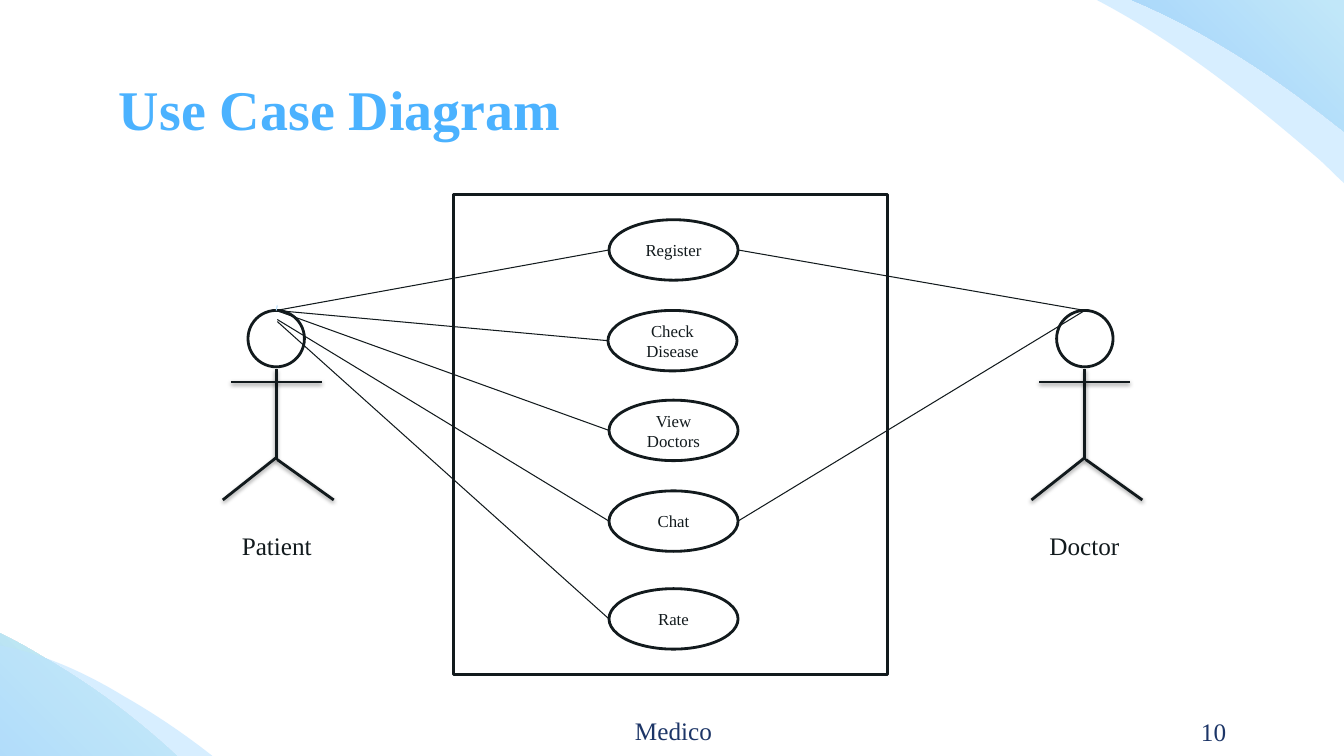
from dataclasses import dataclass

from lxml import etree
from pptx import Presentation
from pptx.dml.color import RGBColor
from pptx.enum.shapes import MSO_CONNECTOR, MSO_SHAPE
from pptx.enum.text import MSO_ANCHOR, MSO_AUTO_SIZE, PP_ALIGN
from pptx.oxml.ns import qn
from pptx.util import Inches, Pt

STRAIGHT = MSO_CONNECTOR.STRAIGHT
OVAL, RECTANGLE = MSO_SHAPE.OVAL, MSO_SHAPE.RECTANGLE
MIDDLE, TOP = MSO_ANCHOR.MIDDLE, MSO_ANCHOR.TOP
LEFT, CENTER, RIGHT = PP_ALIGN.LEFT, PP_ALIGN.CENTER, PP_ALIGN.RIGHT
NO_AUTOFIT, GROW = MSO_AUTO_SIZE.NONE, MSO_AUTO_SIZE.SHAPE_TO_FIT_TEXT

SLIDE_WIDTH, SLIDE_HEIGHT = 13.33, 7.5
TITLE_ONLY_LAYOUT = 5

Point = tuple[float, float]


@dataclass(frozen=True)
class Theme:
    font: str = "Times New Roman"
    ink: str = "121A1D"
    paper: str = "FFFFFF"
    title: str = "4BB2FF"
    footer: str = "1C3567"
    accent: str = "B5DDFB"
    wave_stops: tuple[tuple[int, str], ...] = (
        (0, "E5ECEF"), (28, "CBEFF2"), (66, "77B8F7"), (100, "0885FF"))
    wave_angle: int = 135
    veil: str = "BBE2FF"
    veil_alpha: int = 58
    title_size: int = 40
    label_size: int = 18
    case_size: int = 12
    thick: float = 2
    thin: float = 0.75


THEME = Theme()


@dataclass(frozen=True)
class Wave:
    left: float
    top: float
    rotation: float
    mirrored: bool
    veil: bool


@dataclass(frozen=True)
class UseCase:
    name: str
    top: float
    left: float = 6.04


@dataclass(frozen=True)
class Actor:
    name: str
    axis: float
    label_left: float


@dataclass(frozen=True)
class Association:
    start: Point
    end: Point
    color: str = THEME.ink


# Start point, then three points for each cubic curve
WAVE_WIDTH = 3.13
WAVE_OUTLINE: tuple[Point, ...] = (
    (2.16, 0),
    (1.99, 0), (1.83, 0.03), (1.69, 0.08),
    (1.26, 0.22), (0.9, 0.55), (0.66, 0.94),
    (0.42, 1.33), (0.28, 1.78), (0.2, 2.23),
    (0, 3.19), (0, 4.2), (0.2, 5.16),
    (0.3, 4.75), (0.4, 4.34), (0.54, 3.95),
    (0.69, 3.54), (0.88, 3.15), (1.1, 2.78),
    (1.49, 2.12), (1.98, 1.51), (2.48, 0.93),
    (2.66, 0.72), (3.13, 0.37), (2.75, 0.15),
    (2.57, 0.05), (2.36, 0), (2.16, 0),
)
WAVES = (
    Wave(10.74, -1.67, 90, False, False),
    Wave(9.86, -1.92, 90, False, True),
    Wave(-1.8, 5.18, 311.5, True, False),
    Wave(-0.98, 5.58, 311.5, True, True),
)

CASE_WIDTH, CASE_HEIGHT = 1.28, 0.6
REGISTER = UseCase("Register", 2.18)
CHECK = UseCase("Check Disease", 3.08, 6.03)
VIEW = UseCase("View Doctors", 3.97)
CHAT = UseCase("Chat", 4.87)
RATE = UseCase("Rate", 5.84)
USE_CASES = (REGISTER, CHECK, VIEW, CHAT, RATE)

PATIENT, DOCTOR = Actor("Patient", 2.74, 2.3), Actor("Doctor", 10.76, 10.31)
HEAD_TOP, HEAD_SIZE = 3.08, 0.56
# Body, arms, right leg and left leg, measured from the actor's axis
LIMBS = (((0, 3.66), (0, 4.56)), ((-0.45, 3.79), (0.45, 3.79)),
         ((0.01, 4.56), (0.57, 4.96)), ((-0.53, 4.96), (0, 4.54)))


def left_side(case: UseCase) -> Point:
    return case.left, case.top + CASE_HEIGHT / 2


def right_side(case: UseCase) -> Point:
    return case.left + CASE_WIDTH, case.top + CASE_HEIGHT / 2


PATIENT_LINKS = ((REGISTER, 2.74, 3.08), (CHECK, 2.74, 3.08), (VIEW, 2.74, 3.08),
                 (CHAT, 2.75, 3.17), (RATE, 2.75, 3.19))
ASSOCIATIONS = (
    *(Association((x, y), left_side(case)) for case, x, y in PATIENT_LINKS),
    Association((2.75, 3.03), (PATIENT.axis, HEAD_TOP), THEME.accent),
    *(Association((DOCTOR.axis, HEAD_TOP), right_side(case)) for case in (REGISTER, CHAT)),
)


def rgb(value: str) -> RGBColor:
    return RGBColor.from_string(value)


def write(shape, text: str, size: int, color: str, align=CENTER, anchor=TOP,
          bold=False, wrap=True) -> None:
    frame = shape.text_frame
    frame.word_wrap = wrap
    frame.vertical_anchor = anchor
    frame.text = text
    paragraph = frame.paragraphs[0]
    paragraph.alignment = align
    font = paragraph.font
    font.name, font.size, font.bold = THEME.font, Pt(size), bold
    font.color.rgb = rgb(color)


def add_footer(slide, text: str, left: float, top: float, width: float, align) -> None:
    box = slide.shapes.add_textbox(Inches(left), Inches(top), Inches(width), Inches(0.4))
    write(box, text, THEME.label_size, THEME.footer, align)


def add_outline(slide, kind, left: float, top: float, width: float, height: float):
    shape = slide.shapes.add_shape(kind, Inches(left), Inches(top), Inches(width), Inches(height))
    shape.shadow.inherit = False
    shape.fill.solid()
    shape.fill.fore_color.rgb = rgb(THEME.paper)
    shape.line.color.rgb = rgb(THEME.ink)
    shape.line.width = Pt(THEME.thick)
    return shape


def add_line(slide, start: Point, end: Point, color: str, width: float, shadow=False) -> None:
    line = slide.shapes.add_connector(STRAIGHT, *(Inches(value) for value in (*start, *end)))
    line.line.color.rgb = rgb(color)
    line.line.width = Pt(width)
    effects = etree.SubElement(line._element.spPr, qn("a:effectLst"))
    if shadow:
        outer = etree.SubElement(effects, qn("a:outerShdw"), blurRad=str(Pt(3.1)),
                                 dist=str(Pt(1.6)), dir="5400000", rotWithShape="0")
        black = etree.SubElement(outer, qn("a:srgbClr"), val="000000")
        etree.SubElement(black, qn("a:alpha"), val="38000")


def bend_segments(shape) -> None:
    """Turn each run of three straight segments into one cubic curve."""
    segments = list(shape._element.spPr.iter(qn("a:lnTo")))
    for first in range(0, len(segments), 3):
        curve = etree.Element(qn("a:cubicBezTo"))
        segments[first].addprevious(curve)
        for segment in segments[first:first + 3]:
            curve.append(segment[0])
            segment.getparent().remove(segment)


def add_wave(slide, wave: Wave) -> None:
    start, *controls = [
        (Inches(wave.left + (WAVE_WIDTH - x if wave.mirrored else x)), Inches(wave.top + y))
        for x, y in WAVE_OUTLINE]
    builder = slide.shapes.build_freeform(*start)
    builder.add_line_segments(controls, close=True)
    shape = builder.convert_to_shape()
    bend_segments(shape)
    shape.rotation = wave.rotation
    shape.shadow.inherit = False
    shape.line.fill.background()
    if wave.veil:
        shape.fill.solid()
        shape.fill.fore_color.rgb = rgb(THEME.veil)
        color = shape._element.spPr.find(f"{qn('a:solidFill')}/{qn('a:srgbClr')}")
        etree.SubElement(color, qn("a:alpha"), val=str(THEME.veil_alpha * 1000))
        return
    shape.fill.gradient()
    shape.fill.gradient_angle = 360 - THEME.wave_angle
    gradient = shape._element.spPr.find(qn("a:gradFill"))
    gradient.set("rotWithShape", "0")
    stops = gradient.find(qn("a:gsLst"))
    stops.clear()
    for position, value in THEME.wave_stops:
        stop = etree.SubElement(stops, qn("a:gs"), pos=str(position * 1000))
        etree.SubElement(stop, qn("a:srgbClr"), val=value)


def add_actor(slide, actor: Actor) -> None:
    add_outline(slide, OVAL, actor.axis - HEAD_SIZE / 2, HEAD_TOP, HEAD_SIZE, HEAD_SIZE)
    for start, end in LIMBS:
        add_line(slide, (actor.axis + start[0], start[1]), (actor.axis + end[0], end[1]),
                 THEME.ink, THEME.thick, shadow=True)
    label = add_outline(slide, RECTANGLE, actor.label_left, 5.21, 0.9, 0.4)
    label.fill.background()
    label.line.color.rgb = rgb(THEME.paper)
    label.line.width = Pt(THEME.thin)
    write(label, actor.name, THEME.label_size, THEME.ink, LEFT, wrap=False)
    label.text_frame.auto_size = GROW


def add_title(slide, text: str) -> None:
    title = slide.shapes.title
    title.left, title.top, title.width, title.height = map(Inches, (1.05, 0.65, 11.23, 0.84))
    write(title, text, THEME.title_size, THEME.title, LEFT, MIDDLE, bold=True)
    frame = title.text_frame
    frame.auto_size = NO_AUTOFIT
    frame.margin_left = frame.margin_right = frame.margin_top = frame.margin_bottom = Inches(0.13)


def main() -> None:
    presentation = Presentation()
    presentation.slide_width, presentation.slide_height = Inches(SLIDE_WIDTH), Inches(SLIDE_HEIGHT)
    slide = presentation.slides.add_slide(presentation.slide_layouts[TITLE_ONLY_LAYOUT])

    # Corner decoration and title
    for wave in WAVES:
        add_wave(slide, wave)
    add_title(slide, "Use Case Diagram")

    # System boundary with its use cases
    add_outline(slide, RECTANGLE, 4.5, 1.93, 4.3, 4.76)
    for case in USE_CASES:
        oval = add_outline(slide, OVAL, case.left, case.top, CASE_WIDTH, CASE_HEIGHT)
        write(oval, case.name, THEME.case_size, THEME.ink, anchor=MIDDLE)

    # Actors and their associations
    for actor in (PATIENT, DOCTOR):
        add_actor(slide, actor)
    for link in ASSOCIATIONS:
        add_line(slide, link.start, link.end, link.color, THEME.thin)

    # Footer and page number
    add_footer(slide, "Medico", 4.1, 7.05, 5.16, CENTER)
    add_footer(slide, "10", 10.83, 7.06, 1.43, RIGHT)
    presentation.save("out.pptx")


if __name__ == "__main__":
    main()
